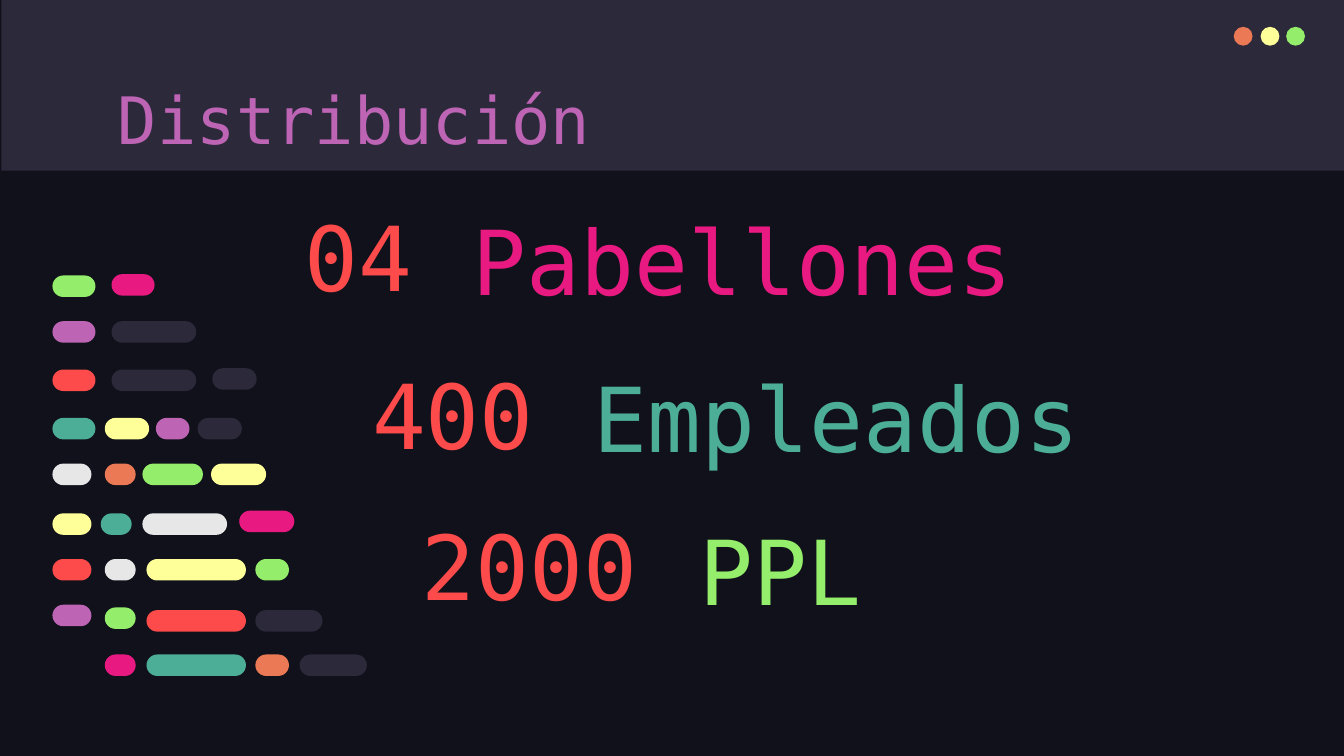
from typing import NamedTuple

from pptx import Presentation
from pptx.dml.color import RGBColor
from pptx.enum.shapes import MSO_SHAPE as Preset
from pptx.enum.text import MSO_ANCHOR as Anchor
from pptx.util import Inches, Pt

NIGHT = RGBColor(0x10, 0x11, 0x1A)
SLATE = RGBColor(0x2C, 0x29, 0x3A)
ORANGE = RGBColor(0xEC, 0x79, 0x55)
YELLOW = RGBColor(0xFF, 0xFF, 0x99)
GREEN = RGBColor(0x94, 0xEE, 0x6B)
PURPLE = RGBColor(0xBD, 0x64, 0xB5)
RED = RGBColor(0xFD, 0x4A, 0x4A)
PINK = RGBColor(0xE8, 0x1A, 0x81)
TEAL = RGBColor(0x4C, 0xAE, 0x97)
WHITE = RGBColor(0xE7, 0xE7, 0xE7)

FONT = "DejaVu Sans Mono"
SLIDE_WIDTH = Inches(10)
SLIDE_HEIGHT = SLIDE_WIDTH * 9 // 16
BAR_HEIGHT = 0.16
DOT_SIZE = 0.14


class Box(NamedTuple):
    left: float
    top: float
    width: float
    height: float


class Bar(NamedTuple):
    left: float
    width: float
    color: RGBColor
    shift: float = 0  # vertical offset from the row


class Figure(NamedTuple):
    number: str
    number_box: Box
    label: str
    label_left: float
    label_top: float
    color: RGBColor


CODE_ROWS = {
    2.05: [Bar(0.39, 0.32, GREEN), Bar(0.83, 0.32, PINK, -0.01)],
    2.39: [Bar(0.39, 0.32, PURPLE), Bar(0.83, 0.63, SLATE)],
    2.75: [Bar(0.39, 0.32, RED), Bar(0.83, 0.63, SLATE), Bar(1.58, 0.33, SLATE, -0.01)],
    3.11: [Bar(0.39, 0.32, TEAL), Bar(0.78, 0.33, YELLOW), Bar(1.16, 0.25, PURPLE),
           Bar(1.47, 0.33, SLATE)],
    3.45: [Bar(0.39, 0.29, WHITE), Bar(0.78, 0.23, ORANGE), Bar(1.06, 0.45, GREEN),
           Bar(1.57, 0.41, YELLOW)],
    3.82: [Bar(0.39, 0.29, YELLOW), Bar(0.75, 0.23, TEAL), Bar(1.06, 0.63, WHITE),
           Bar(1.78, 0.41, PINK, -0.02)],
    4.16: [Bar(0.39, 0.29, RED), Bar(0.78, 0.23, WHITE), Bar(1.09, 0.74, YELLOW),
           Bar(1.9, 0.25, GREEN)],
    4.54: [Bar(0.39, 0.29, PURPLE, -0.04), Bar(0.78, 0.23, GREEN, -0.02),
           Bar(1.09, 0.74, RED), Bar(1.9, 0.5, SLATE)],
    4.87: [Bar(0.78, 0.23, PINK), Bar(1.09, 0.74, TEAL), Bar(1.9, 0.25, ORANGE),
           Bar(2.23, 0.5, SLATE)],
}

FIGURES = [
    Figure("04", Box(2.17, 1.69, 1.14, 0.43), "Pabellones", 3.42, 1.9, PINK),
    Figure("400", Box(2.67, 2.9, 1.74, 0.36), "Empleados", 4.32, 3.07, TEAL),
    Figure("2000", Box(3.04, 3.99, 1.94, 0.43), "PPL", 5.11, 4.21, GREEN),
]


def add_flat_shape(shapes, preset: Preset, box: Box, color: RGBColor):
    """Add a filled shape without outline or shadow."""
    shape = shapes.add_shape(preset, *map(Inches, box))
    shape.fill.solid()
    shape.fill.fore_color.rgb = color
    shape.line.fill.background()
    shape.shadow.inherit = False
    return shape


def add_text(shapes, text: str, box: Box, *, color: RGBColor, size: float = 48,
             anchor: Anchor = Anchor.MIDDLE, spacing: float = 1.0) -> None:
    frame = shapes.add_textbox(*map(Inches, box)).text_frame
    frame.word_wrap = True
    frame.vertical_anchor = anchor
    frame.margin_left = frame.margin_right = Inches(0.1)
    frame.margin_top = frame.margin_bottom = Inches(0.1)
    para = frame.paragraphs[0]
    para.line_spacing = spacing
    span = para.add_run()
    span.text = text
    span.font.name = FONT
    span.font.size = Pt(size)
    span.font.color.rgb = color


def add_header(shapes) -> None:
    add_flat_shape(shapes, Preset.RECTANGLE, Box(0.01, 0, 10, 1.27), SLATE)
    dots = shapes.add_group_shape().shapes
    for left, color in ((9.18, ORANGE), (9.38, YELLOW), (9.57, GREEN)):
        add_flat_shape(dots, Preset.OVAL, Box(left, 0.2, DOT_SIZE, DOT_SIZE), color)
    add_text(shapes, "Distribución", Box(0.78, 0.49, 8.43, 0.63),
             color=PURPLE, size=35, anchor=Anchor.TOP)


def add_figure(shapes, figure: Figure) -> None:
    add_text(shapes, figure.number, figure.number_box, color=RED)
    add_text(shapes, figure.label, Box(figure.label_left, figure.label_top, 4.6, 0.53),
             color=figure.color, anchor=Anchor.BOTTOM, spacing=1.15)


def add_code_bars(shapes) -> None:
    bars = shapes.add_group_shape().shapes
    for top, row in CODE_ROWS.items():
        for bar in row:
            box = Box(bar.left, top + bar.shift, bar.width, BAR_HEIGHT)
            pill = add_flat_shape(bars, Preset.ROUNDED_RECTANGLE, box, bar.color)
            pill.adjustments[0] = 0.5


def main() -> None:
    deck = Presentation()
    deck.slide_width, deck.slide_height = SLIDE_WIDTH, SLIDE_HEIGHT
    page = deck.slides.add_slide(deck.slide_layouts[6])
    page.background.fill.solid()
    page.background.fill.fore_color.rgb = NIGHT
    add_header(page.shapes)
    for figure in FIGURES:
        add_figure(page.shapes, figure)
    add_code_bars(page.shapes)
    deck.save("out.pptx")


if __name__ == "__main__":
    main()
